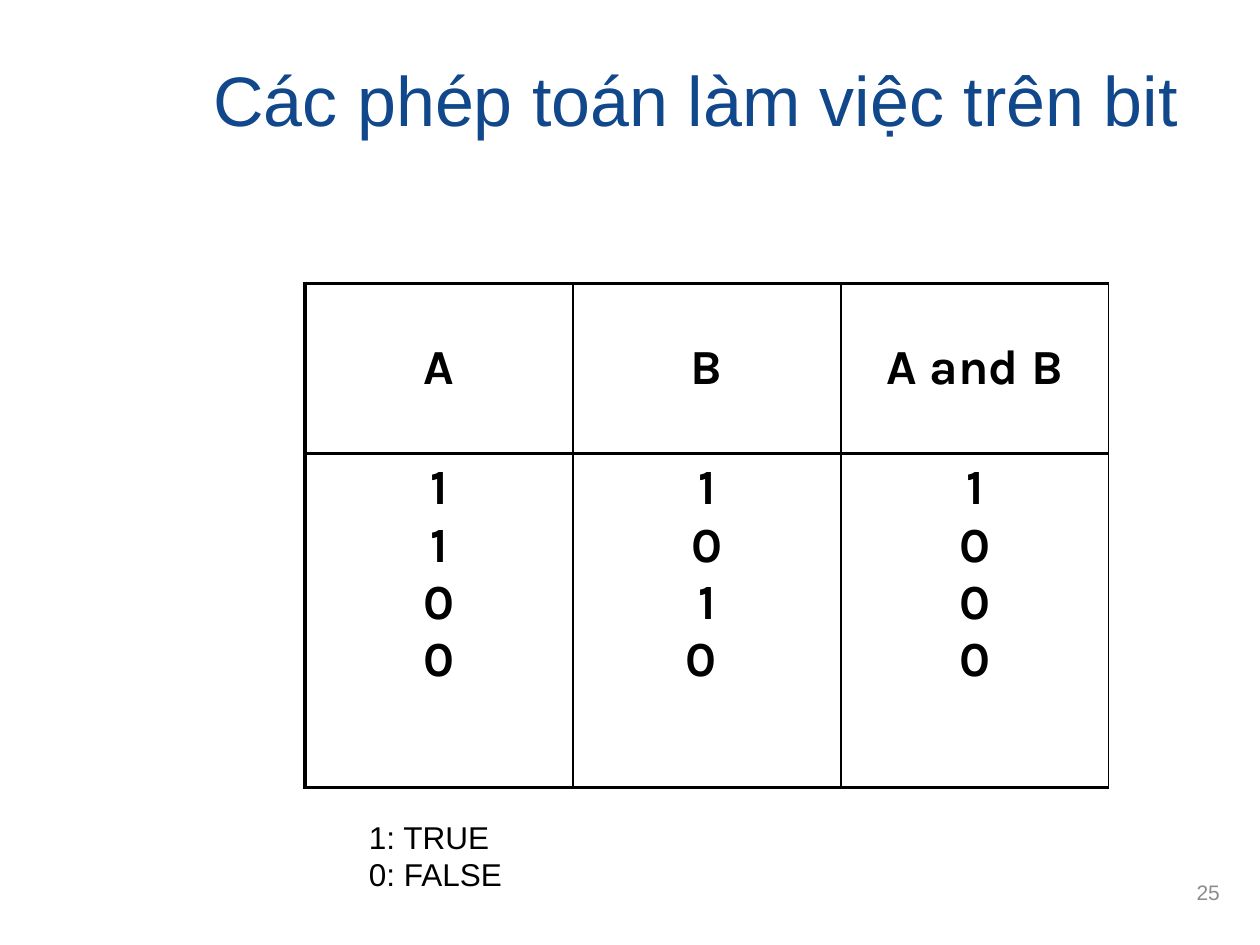
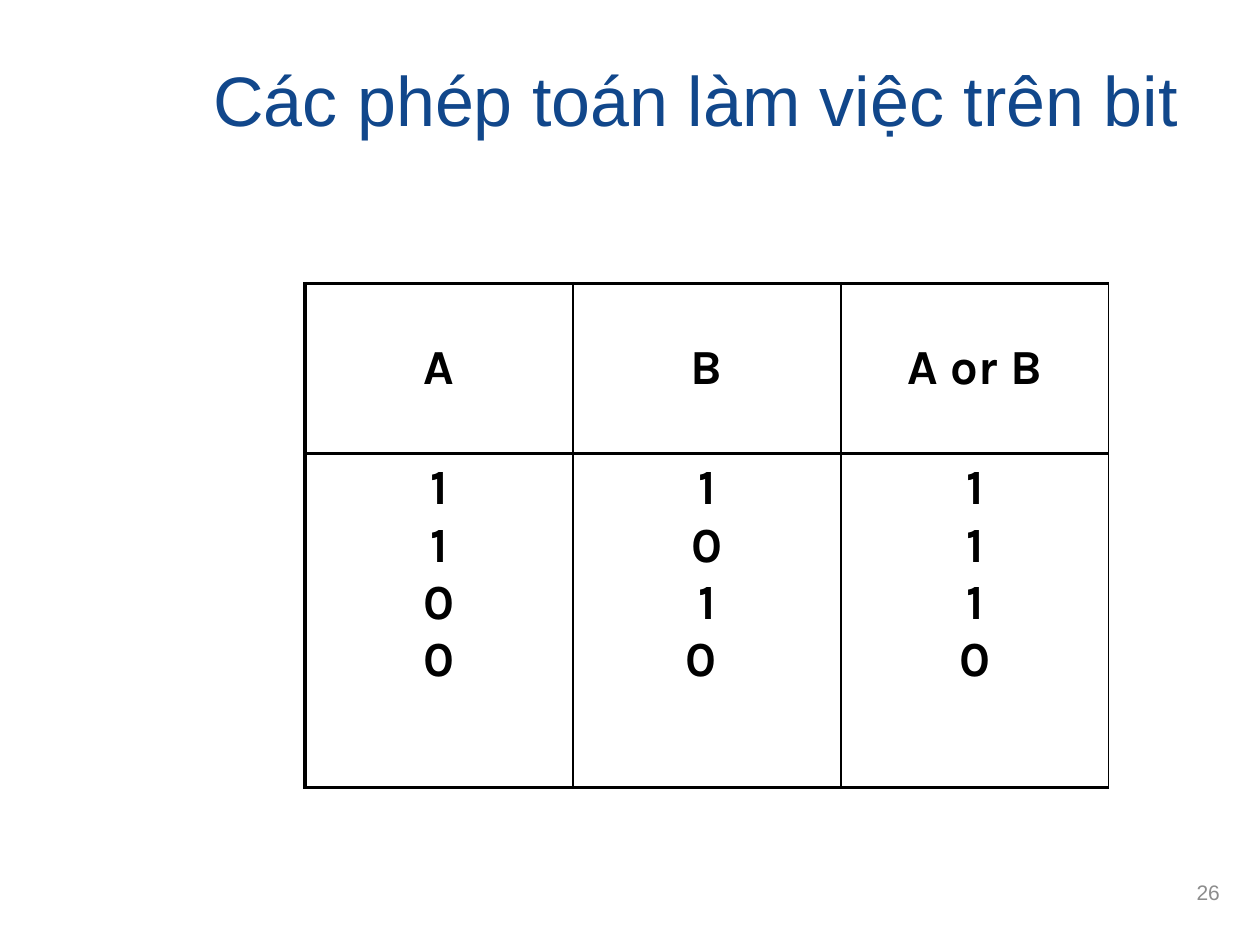
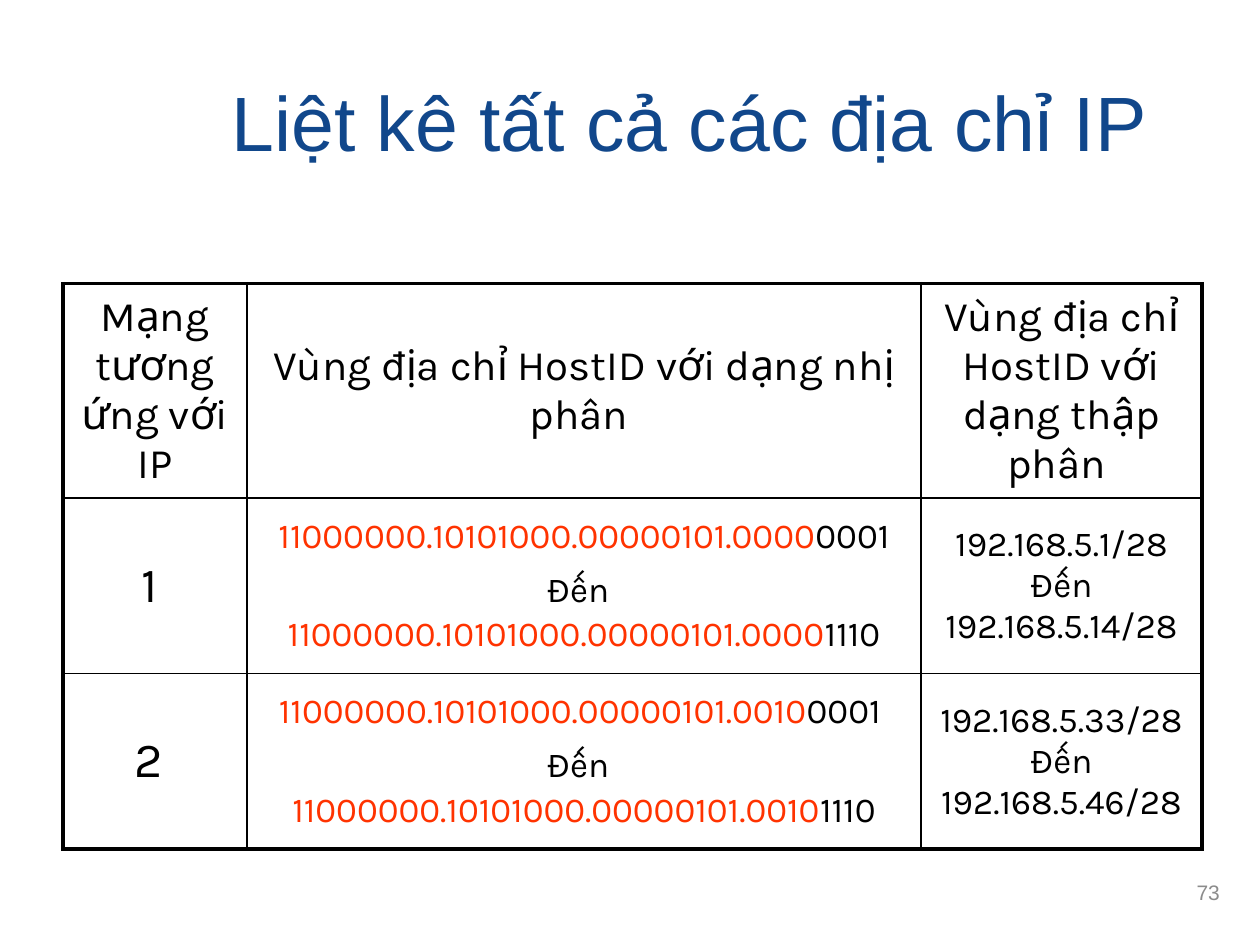
import dataclasses

import lxml.etree
import pptx
import pptx.dml.color
import pptx.enum.text
import pptx.oxml.ns
import pptx.util

Inches = pptx.util.Inches
Pt = pptx.util.Pt
ALIGN = pptx.enum.text.PP_ALIGN
ANCHOR = pptx.enum.text.MSO_ANCHOR


@dataclasses.dataclass(frozen=True)
class Style:
    """Font settings of one run."""

    size: float
    color: str = "000000"
    font: str = "Karla"
    bold: bool = False


@dataclasses.dataclass(frozen=True)
class Theme:
    """Colours, type styles and line widths that the slides share."""

    background: str = "FFFFFF"
    border: str = "000000"
    thick: float = 2.25
    thin: float = 1
    title: Style = Style(40, "11478B", "Arial")
    big_title: Style = Style(44, "11478B", "Arial")
    number: Style = Style(12, "8C8C8C", "Arial")
    legend: Style = Style(18, font="Arial")
    truth: Style = Style(28, bold=True)
    heading: Style = Style(24)
    network: Style = Style(28)
    address: Style = Style(20)
    prefix: Style = Style(20, "FF3300")


THEME = Theme()
TRUTH_BOX = (2.42, 2.25, 6.38, 4)
ADDRESS_BOX = (0.5, 2.25, 9.04, 4.49)


def write(frame, lines, align=ALIGN.LEFT):
    """Fill a text frame with lines, each a list of (text, style) runs."""
    for index, line in enumerate(lines):
        para = frame.add_paragraph() if index else frame.paragraphs[0]
        para.alignment = align
        for text, style in line:
            span = para.add_run()
            span.text = text
            span.font.size = Pt(style.size)
            span.font.name = style.font
            span.font.bold = style.bold
            span.font.color.rgb = pptx.dml.color.RGBColor.from_string(style.color)


def add_text(page, box, lines, align=ALIGN.LEFT, anchor=ANCHOR.TOP):
    """Place a wrapped text box."""
    frame = page.shapes.add_textbox(*map(Inches, box)).text_frame
    frame.word_wrap = True
    frame.vertical_anchor = anchor
    write(frame, lines, align)


def add_page(deck, title, box, style, number):
    """Start a slide with its title and page number."""
    page = deck.slides.add_slide(deck.slide_layouts[5])
    page.background.fill.solid()
    page.background.fill.fore_color.rgb = pptx.dml.color.RGBColor.from_string(THEME.background)
    heading = page.shapes.title
    heading.left, heading.top, heading.width, heading.height = map(Inches, box)
    frame = heading.text_frame
    frame.word_wrap = True
    frame.auto_size = pptx.enum.text.MSO_AUTO_SIZE.NONE
    frame.vertical_anchor = ANCHOR.MIDDLE
    write(frame, [[(title, style)]], ALIGN.CENTER)
    add_text(page, (7.7, 6.83, 2.08, 0.5), [[(str(number), THEME.number)]],
             ALIGN.RIGHT, ANCHOR.MIDDLE)
    return page


def draw_border(cell, side, width):
    """Draw one side of a cell as a solid line."""
    qualify = pptx.oxml.ns.qn
    line = lxml.etree.SubElement(cell._tc.get_or_add_tcPr(), qualify(f"a:ln{side}"),
                                 w=str(int(Pt(width))))
    fill = lxml.etree.SubElement(line, qualify("a:solidFill"))
    lxml.etree.SubElement(fill, qualify("a:srgbClr"), val=THEME.border)


def add_grid(page, box, columns, rows, cells, verticals, horizontals, body_anchor):
    """Place a table whose column and row shares divide the box, ruled by line widths."""
    table = page.shapes.add_table(len(rows), len(columns), *map(Inches, box)).table
    table.first_row = table.horz_banding = False
    for column, share in zip(table.columns, columns):
        column.width = Inches(box[2] * share / sum(columns))
    for row, share in zip(table.rows, rows):
        row.height = Inches(box[3] * share / sum(rows))
    for r, line in enumerate(cells):
        for c, content in enumerate(line):
            cell = table.cell(r, c)
            widths = (verticals[c], verticals[c + 1], horizontals[r], horizontals[r + 1])
            for side, width in zip("LRTB", widths):
                draw_border(cell, side, width)
            cell.fill.background()
            cell.vertical_anchor = body_anchor if r else ANCHOR.MIDDLE
            write(cell.text_frame, content, ALIGN.CENTER)


def add_truth_page(deck, operator, results, number):
    """Build the truth table of one bit operator."""
    page = add_page(deck, "Các phép toán làm việc trên bit", (1.26, 0.23, 8.52, 1.1),
                    THEME.title, number)
    headings = ("A", "B", f"A {operator} B")
    values = ("1100", ("1", "0", "1", "0 "), results)
    cells = [[[[(heading, THEME.truth)]] for heading in headings],
             [[[(value, THEME.truth)] for value in column] for column in values]]
    add_grid(page, TRUTH_BOX, (1, 1, 1), (1.35, 2.65), cells,
             (THEME.thick, THEME.thin, THEME.thin, THEME.thin), (THEME.thick,) * 3, ANCHOR.TOP)
    return page


def address_row(network, prefix, first_host, last_host, first, last):
    """Return the cells of one network: number, binary range and decimal range."""
    binary = [[(prefix, THEME.prefix), (first_host, THEME.address)],
              [("Đến", THEME.address), (" ", THEME.network)],
              [(prefix, THEME.prefix), (last_host, THEME.address)]]
    decimal = [[(text, THEME.address)] for text in (first, "Đến", last)]
    return [[[(network, THEME.network)]], binary, decimal]


def add_address_page(deck, number):
    """Build the table of host address ranges."""
    page = add_page(deck, "Liệt kê tất cả các địa chỉ IP", (1.17, 0.42, 8.61, 1.07),
                    THEME.big_title, number)
    headings = ("Mạng tương ứng với IP", "Vùng địa chỉ HostID với dạng nhị phân ",
                "Vùng địa chỉ HostID với dạng thập phân ")
    cells = [
        [[[(heading, THEME.heading)]] for heading in headings],
        address_row("1 ", "11000000.10101000.00000101.0000", "0001", "1110",
                    "192.168.5.1/28", "192.168.5.14/28"),
        address_row("2 ", "11000000.10101000.00000101.0010", "0001 ", "1110",
                    "192.168.5.33/28", "192.168.5.46/28"),
    ]
    rules = (THEME.thick, THEME.thin, THEME.thin, THEME.thick)
    add_grid(page, ADDRESS_BOX, (1.46, 5.35, 2.23), (1.7, 1.39, 1.39), cells,
             rules, rules, ANCHOR.MIDDLE)


def main():
    """Build and save the deck."""
    deck = pptx.Presentation()
    deck.slide_width, deck.slide_height = Inches(10), Inches(7.5)
    page = add_truth_page(deck, "and", "1000", 25)
    add_text(page, (2.83, 6.44, 4.09, 0.71),
             [[(text, THEME.legend)] for text in ("1: TRUE", "0: FALSE")])
    add_truth_page(deck, "or", "1110", 26)
    add_address_page(deck, 73)
    deck.save("out.pptx")


if __name__ == "__main__":
    main()
